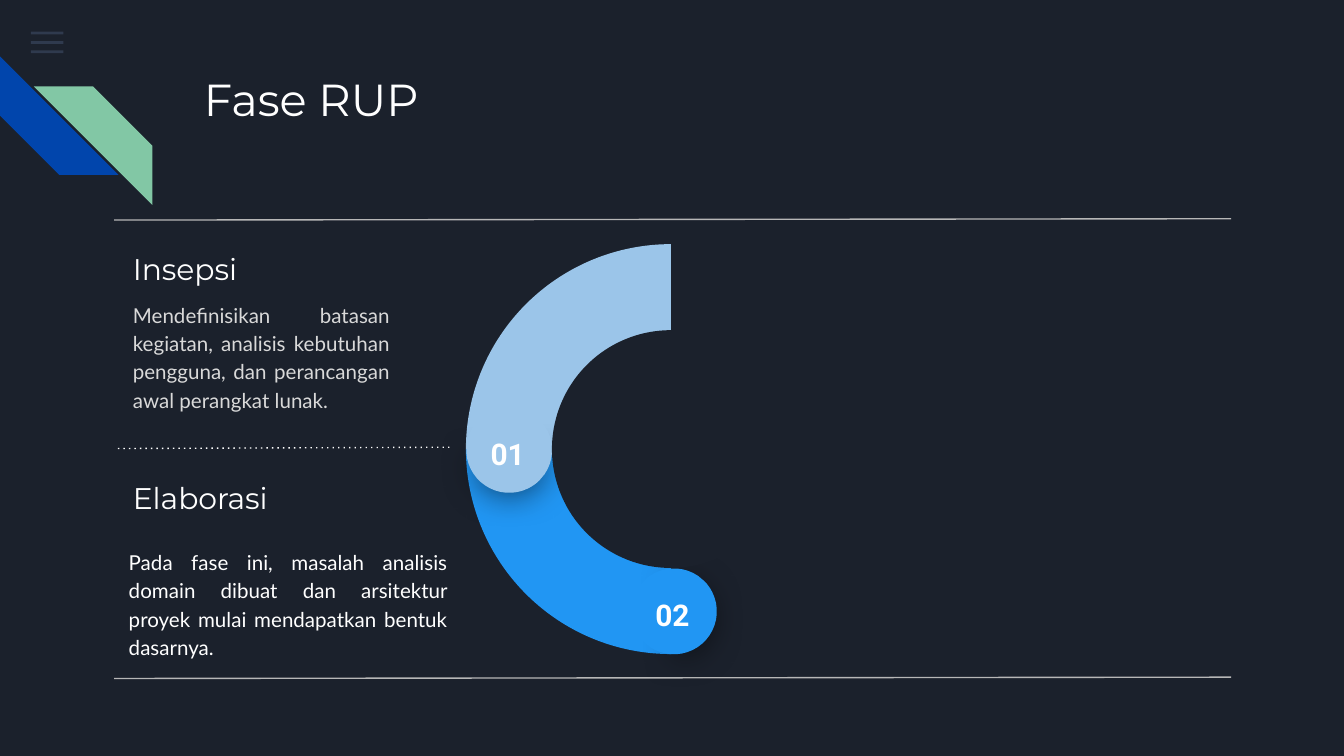
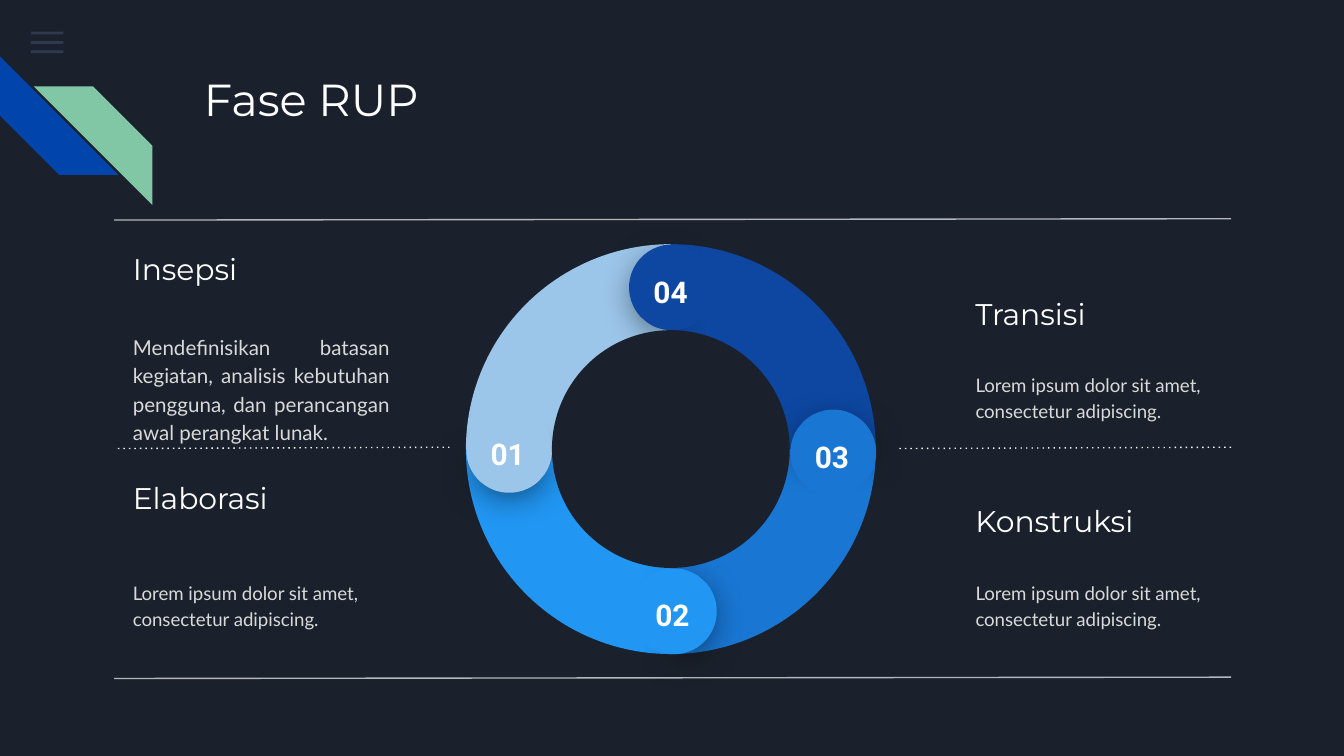
from lxml import etree
from pptx import Presentation
from pptx.dml.color import RGBColor
from pptx.enum.shapes import MSO_CONNECTOR, MSO_SHAPE as SHAPE
from pptx.enum.text import MSO_ANCHOR as ANCHOR, PP_ALIGN as ALIGN
from pptx.oxml.ns import qn
from pptx.util import Pt

COLORS = {
    "background": "1B212C", "menu": "55688B", "stripe_blue": "0145AC",
    "stripe_green": "82C7A5", "white": "FFFFFF", "body": "D9D9D9",
    "rule": "B7B7B7", "black": "000000",
    "01": "9BC5E9", "02": "2196F3", "03": "1976D2", "04": "0D47A1",
}

# Ring geometry, in points
RING_X, RING_Y, RING = 249.6, 130.8, 219.6
HOLE, CAP, CAP_SHADOW = 127.4, 46, 41
QUARTER_ANGLES = (107.957, 162.013)
CHORD_ANGLES = (25.006, 18.12)
SHADOW_ANGLES = (189.535, 83.81)
# Centre of the round end of each phase, counter-clockwise from the left
CAP_CENTRES = {"01": (272.8, 241), "02": (361, 327.5),
               "03": (446.4, 242.4), "04": (360, 154)}

LEFT, RIGHT = 64.1, 515.5
LINE_START, LINE_END, LINE_DROP = 659.5, 61.2, 0.7
INSEPSI = ("Mendefinisikan batasan kegiatan, analisis kebutuhan pengguna, "
           "dan perancangan awal perangkat lunak.")
ELABORASI = ("Pada fase ini, masalah analisis domain dibuat dan arsitektur "
             "proyek mulai mendapatkan bentuk dasarnya.")
LOREM = "Lorem ipsum dolor sit amet, consectetur adipiscing."


def rgb(name):
    return RGBColor.from_string(COLORS[name])


def write(tf, text, font="Lato", size=11, color="white", bold=False,
          align=ALIGN.LEFT, anchor=ANCHOR.TOP, spacing=None, after=0):
    tf.word_wrap = True
    tf.vertical_anchor = anchor
    tf.margin_left = tf.margin_right = tf.margin_top = tf.margin_bottom = Pt(7.2)
    p = tf.paragraphs[0]
    p.alignment = align
    p.line_spacing = spacing
    p.space_after = Pt(after)
    r = p.add_run()
    r.text = text
    r.font.name, r.font.size, r.font.bold = font, Pt(size), bold
    r.font.color.rgb = rgb(color)


class Deck:
    def __init__(self):
        self.prs = Presentation()
        self.prs.slide_width, self.prs.slide_height = Pt(720), Pt(405)
        self.s = None

    def new_slide(self, title):
        self.s = self.prs.slides.add_slide(self.prs.slide_layouts[6])
        fill = self.s.background.fill
        fill.solid()
        fill.fore_color.rgb = rgb("background")
        for i in range(3):
            self.shape(SHAPE.RECTANGLE, 16.6, 17 + 5 * i, 17.4, 1.5, "menu", alpha=36)
        self.shape(SHAPE.DIAGONAL_STRIPE, 0, 30.2, 63.5, 63.5, "stripe_blue", 270, (0.5,))
        self.shape(SHAPE.DIAGONAL_STRIPE, 18.1, 46.3, 63.5, 63.5, "stripe_green", 90, (0.5,))
        self.text(title, 102.2, 31, 554.4, 72, font="Montserrat", size=24)

    def shape(self, kind, x, y, w, h, color, rotation=0, adjust=(), alpha=None):
        sp = self.s.shapes.add_shape(kind, Pt(x), Pt(y), Pt(w), Pt(h))
        sp.shadow.inherit = False
        sp.fill.solid()
        sp.fill.fore_color.rgb = rgb(color)
        sp.line.fill.background()
        sp.rotation = rotation
        for i, value in enumerate(adjust):
            sp.adjustments[i] = value
        if alpha:
            clr = sp._element.spPr.find(qn("a:solidFill"))[0]
            etree.SubElement(clr, qn("a:alpha"), val=str(alpha * 1000))
        return sp

    def centred(self, kind, cx, cy, size, color, rotation=0, adjust=()):
        return self.shape(kind, cx - size / 2, cy - size / 2, size, size,
                          color, rotation, adjust)

    def drop_shadow(self, sp):
        effects = sp._element.spPr.find(qn("a:effectLst"))
        shadow = etree.SubElement(effects, qn("a:outerShdw"), blurRad=str(Pt(18)),
                                  dist=str(Pt(4)), dir="5400000", algn="bl",
                                  rotWithShape="0")
        clr = etree.SubElement(shadow, qn("a:srgbClr"), val=COLORS["black"])
        etree.SubElement(clr, qn("a:alpha"), val="55000")

    def text(self, text, x, y, w, h, **style):
        box = self.s.shapes.add_textbox(Pt(x), Pt(y), Pt(w), Pt(h))
        write(box.text_frame, text, **style)

    def heading(self, text, x, y):
        self.text(text, x, y, 146.2, 35.3, font="Montserrat", size=16,
                  anchor=ANCHOR.MIDDLE)

    def body(self, text, x, y, w=157, h=54.7, size=10, color="body",
             align=ALIGN.LEFT, after=16):
        self.text(text, x, y, w, h, size=size, color=color, align=align,
                  anchor=ANCHOR.MIDDLE, spacing=1.15, after=after)

    def justified(self, text, x, y, w, **style):
        self.body(text, x, y, w, 43.9, size=11, align=ALIGN.JUSTIFY, **style)

    def line(self, y, start=LINE_START, end=LINE_END, color="rule", dotted=False):
        c = self.s.shapes.add_connector(MSO_CONNECTOR.STRAIGHT, Pt(start), Pt(y),
                                        Pt(end), Pt(y + LINE_DROP))
        c.line.width = Pt(0.75)
        c.line.color.rgb = rgb(color)
        props = c._element.spPr
        if dotted:
            etree.SubElement(props.find(qn("a:ln")), qn("a:prstDash"), val="dot")
        etree.SubElement(props, qn("a:effectLst"))

    def dotted_line(self, start, end):
        self.line(239.6, start, end, "white", dotted=True)

    def frame(self):
        """Draw the rules above and below the content and the left divider."""
        self.line(117.2)
        self.dotted_line(240.8, LINE_END + 1)
        self.line(362.8)

    def ring(self, phases):
        """Draw a quarter ring with a numbered round end for each phase."""
        turns = {phase: -90 * i for i, phase in enumerate(CAP_CENTRES)}
        for phase in phases:
            self.shape(SHAPE.PIE, RING_X, RING_Y, RING, RING, phase,
                       turns[phase] % 360, QUARTER_ANGLES)
        for phase in phases:
            cx, cy = CAP_CENTRES[phase]
            turn = turns[phase]
            self.drop_shadow(self.centred(SHAPE.PIE, cx, cy, CAP_SHADOW, phase,
                                          (39.5 + turn) % 360, SHADOW_ANGLES))
            self.centred(SHAPE.CHORD, cx, cy, CAP, phase,
                         (4.1 + turn) % 360, CHORD_ANGLES)
            self.text(phase, cx - 20.9, cy - 14.8, 40.3, 20.9, font="Roboto",
                      size=16, bold=True, align=ALIGN.CENTER)
        self.centred(SHAPE.OVAL, RING_X + RING / 2, RING_Y + RING / 2, HOLE,
                     "background")


def first_phases(deck):
    deck.new_slide("Fase RUP")
    deck.heading("Insepsi", LEFT, 126)
    deck.justified(INSEPSI, LEFT, 168.5, 151.9)
    deck.heading("Elaborasi", LEFT, 249.1)
    deck.justified(ELABORASI, 61.9, 301, 185, color="white", after=12)
    deck.frame()
    deck.ring(["01", "02"])


def all_phases(deck):
    deck.new_slide("Fase RUP")
    deck.heading("Insepsi", LEFT, 126)
    deck.justified(INSEPSI, LEFT, 185.8, 151.9)
    deck.heading("Elaborasi", LEFT, 249.1)
    deck.body(LOREM, LEFT, 296.6)
    deck.heading("Transisi", RIGHT, 150.5)
    deck.body(LOREM, RIGHT, 185)
    deck.heading("Konstruksi", RIGHT, 261.4)
    deck.body(LOREM, RIGHT, 296.6)
    deck.frame()
    deck.dotted_line(LINE_START, 480.5)
    deck.ring(list(CAP_CENTRES))


def main():
    deck = Deck()
    first_phases(deck)
    all_phases(deck)
    deck.prs.save("out.pptx")


if __name__ == "__main__":
    main()
